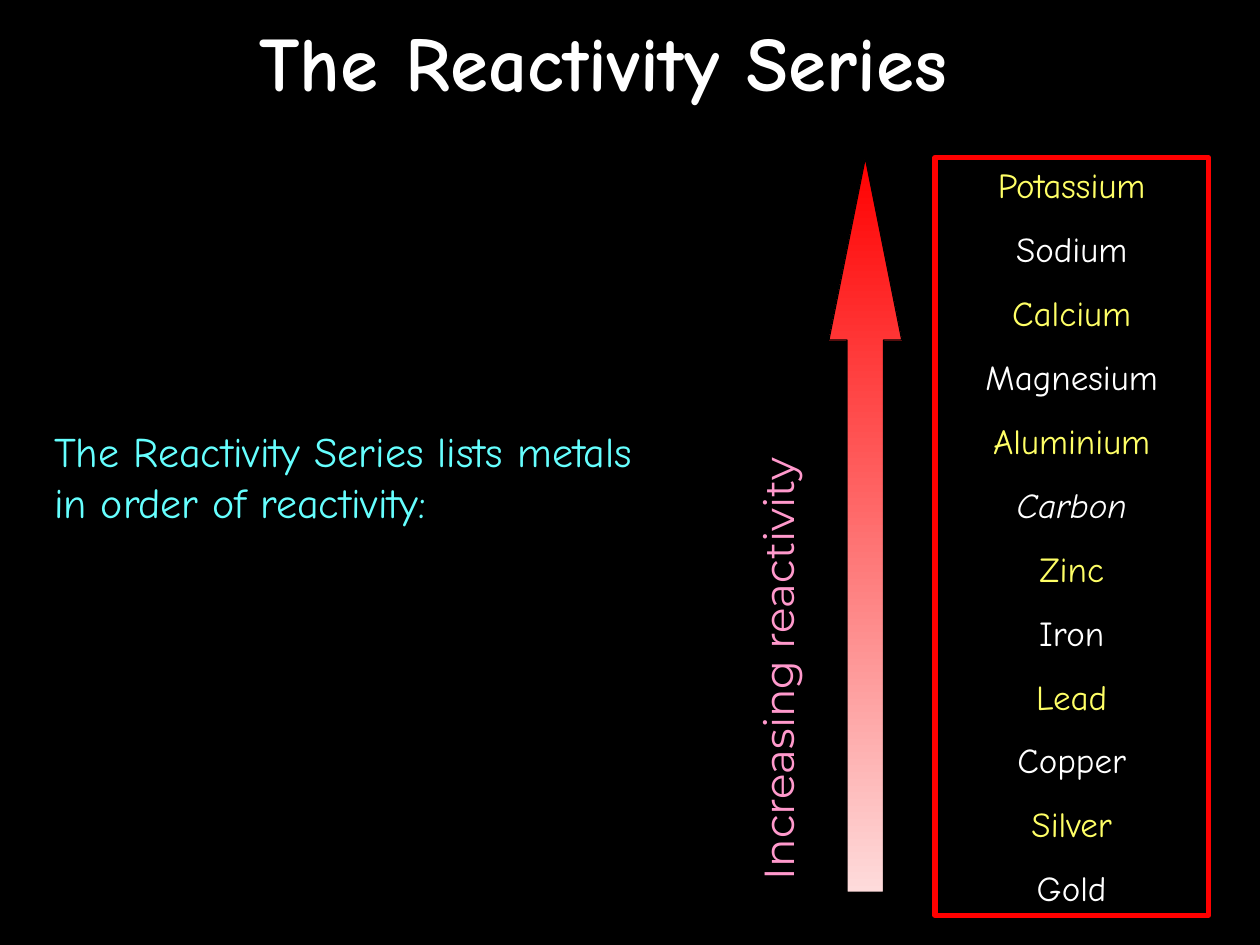
from pptx import Presentation
from pptx.dml.color import RGBColor
from pptx.enum.shapes import MSO_SHAPE as Shape
from pptx.enum.text import MSO_ANCHOR as Anchor, MSO_AUTO_SIZE as AutoSize, PP_ALIGN as Align
from pptx.util import Cm, Pt

THEME = {
    "font": "Comic Neue", "label_font": "Montserrat",
    "title_size": 44, "body_size": 24, "metal_size": 20,
    "background": "000000", "white": "FFFFFF", "yellow": "FFFF66",
    "cyan": "66FFFF", "pink": "FF99CC", "red": "FF0000", "pale_red": "FEDBDB",
}

TITLE = "The Reactivity Series"
INTRO = "The Reactivity Series lists metals in order of reactivity:"
ARROW_LABEL = "Increasing reactivity"
ELEMENTS = ["Potassium", "Sodium", "Calcium", "Magnesium", "Aluminium", "Carbon",
            "Zinc", "Iron", "Lead", "Copper", "Silver", "Gold"]
NON_METALS = {"Carbon"}

# left, top, width, height in centimetres
TITLE_BOX = (0, 0, 24.33, 2.46)
INTRO_BOX = (0.84, 8.46, 12.27, 2.29)
SERIES_BOX = (18.85, 3.18, 5.51, 15.27)
ARROW_BOX = (16.71, 3.18, 1.47, 14.81)
LABEL_BOX = (8.41, 10.24, 14.38, 1.12)


def color(name):
    return RGBColor.from_string(THEME[name])


def lengths(box):
    return [Cm(value) for value in box]


def add_run(paragraph, text, size, color_name, font="font", bold=False, italic=False):
    run = paragraph.add_run()
    run.text = text
    run.font.name = THEME[font]
    run.font.size = Pt(THEME[size])
    run.font.color.rgb = color(color_name)
    run.font.bold = bold
    run.font.italic = italic


def add_title(slide):
    title = slide.shapes.title
    title.left, title.top, title.width, title.height = lengths(TITLE_BOX)
    title.text_frame.vertical_anchor = Anchor.MIDDLE
    paragraph = title.text_frame.paragraphs[0]
    paragraph.alignment = Align.CENTER
    add_run(paragraph, TITLE, "title_size", "white", bold=True)


def add_intro(slide):
    frame = slide.shapes.add_textbox(*lengths(INTRO_BOX)).text_frame
    frame.word_wrap = True
    frame.auto_size = AutoSize.SHAPE_TO_FIT_TEXT
    add_run(frame.paragraphs[0], INTRO, "body_size", "cyan")


def add_series(slide):
    box = slide.shapes.add_shape(Shape.RECTANGLE, *lengths(SERIES_BOX))
    box.shadow.inherit = False
    box.fill.background()
    box.line.color.rgb = color("red")
    box.line.width = Pt(3)
    frame = box.text_frame
    frame.word_wrap = True
    frame.auto_size = AutoSize.SHAPE_TO_FIT_TEXT
    frame.vertical_anchor = Anchor.TOP
    for index, element in enumerate(ELEMENTS):
        paragraph = frame.add_paragraph() if index else frame.paragraphs[0]
        paragraph.alignment = Align.CENTER
        paragraph.space_before = Pt(12.5 if index else 0)
        add_run(paragraph, element, "metal_size", ("yellow", "white")[index % 2],
                italic=element in NON_METALS)


def add_reactivity_arrow(slide):
    group = slide.shapes.add_group_shape()
    arrow = group.shapes.add_shape(Shape.UP_ARROW, *lengths(ARROW_BOX))
    arrow.shadow.inherit = False
    arrow.adjustments[0] = 0.5
    arrow.adjustments[1] = 2.5
    arrow.fill.gradient()
    arrow.fill.gradient_angle = 270
    for stop, position, name in zip(arrow.fill.gradient_stops, (0, 1), ("red", "pale_red")):
        stop.position = position
        stop.color.rgb = color(name)
    arrow.line.color.rgb = color("background")
    arrow.line.width = Pt(0.75)

    label = group.shapes.add_textbox(*lengths(LABEL_BOX))
    label.rotation = 270
    label.text_frame.word_wrap = False
    add_run(label.text_frame.paragraphs[0], ARROW_LABEL, "body_size", "pink", font="label_font")


def main():
    presentation = Presentation()
    presentation.slide_width, presentation.slide_height = Cm(25.4), Cm(19.05)
    slide = presentation.slides.add_slide(presentation.slide_layouts.get_by_name("Title Only"))
    slide.background.fill.solid()
    slide.background.fill.fore_color.rgb = color("background")
    add_title(slide)
    add_intro(slide)
    add_series(slide)
    add_reactivity_arrow(slide)
    presentation.save("out.pptx")


if __name__ == "__main__":
    main()
